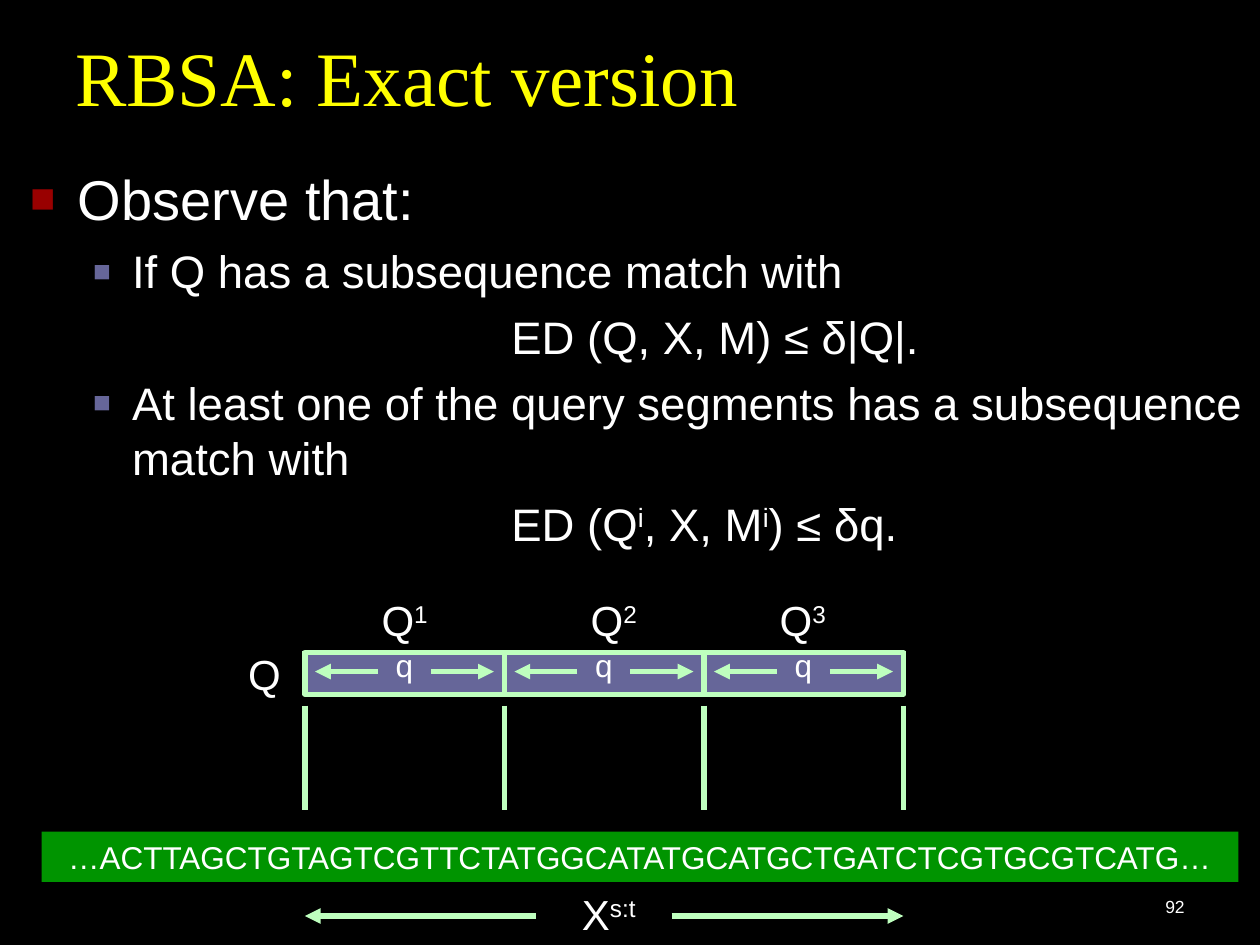
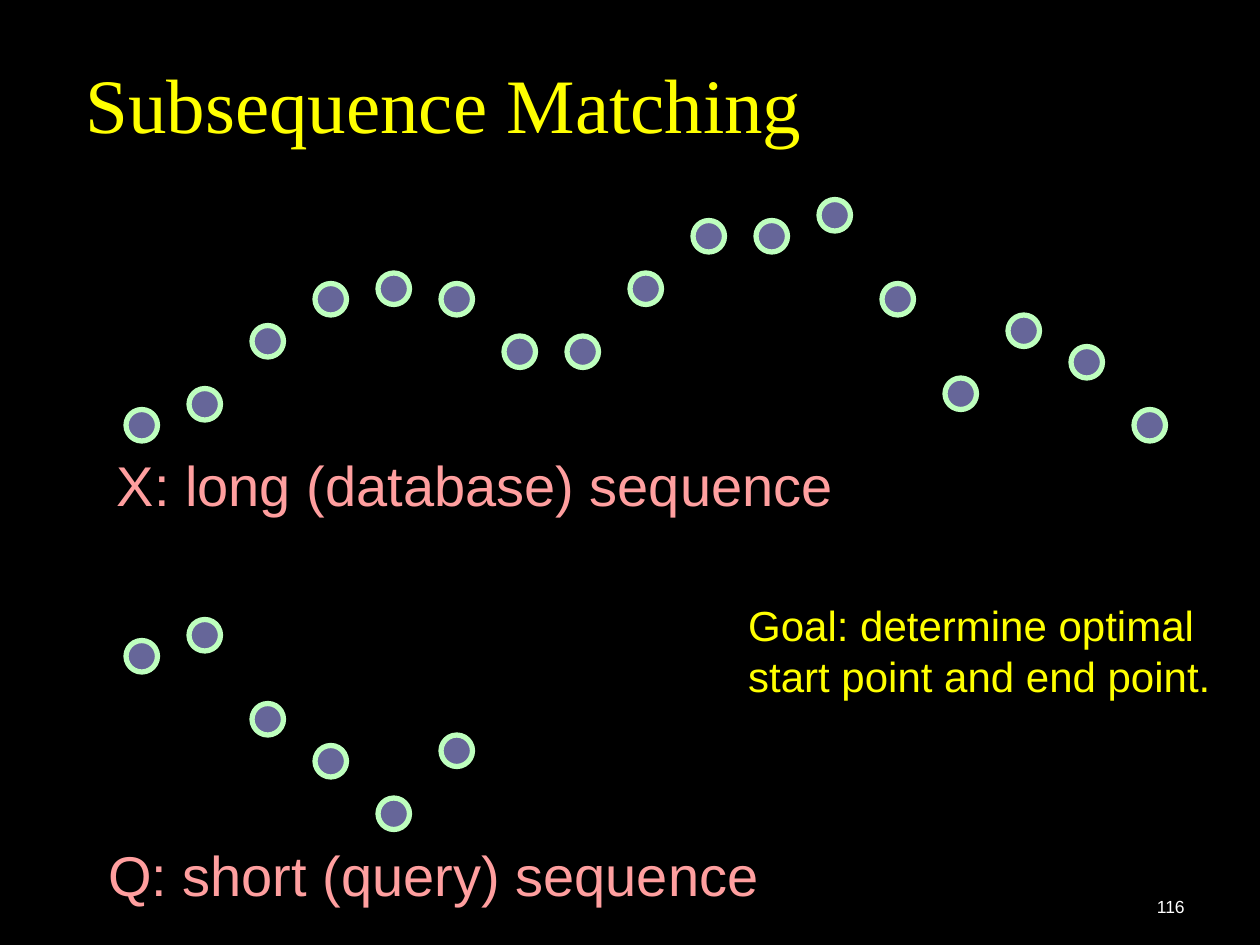
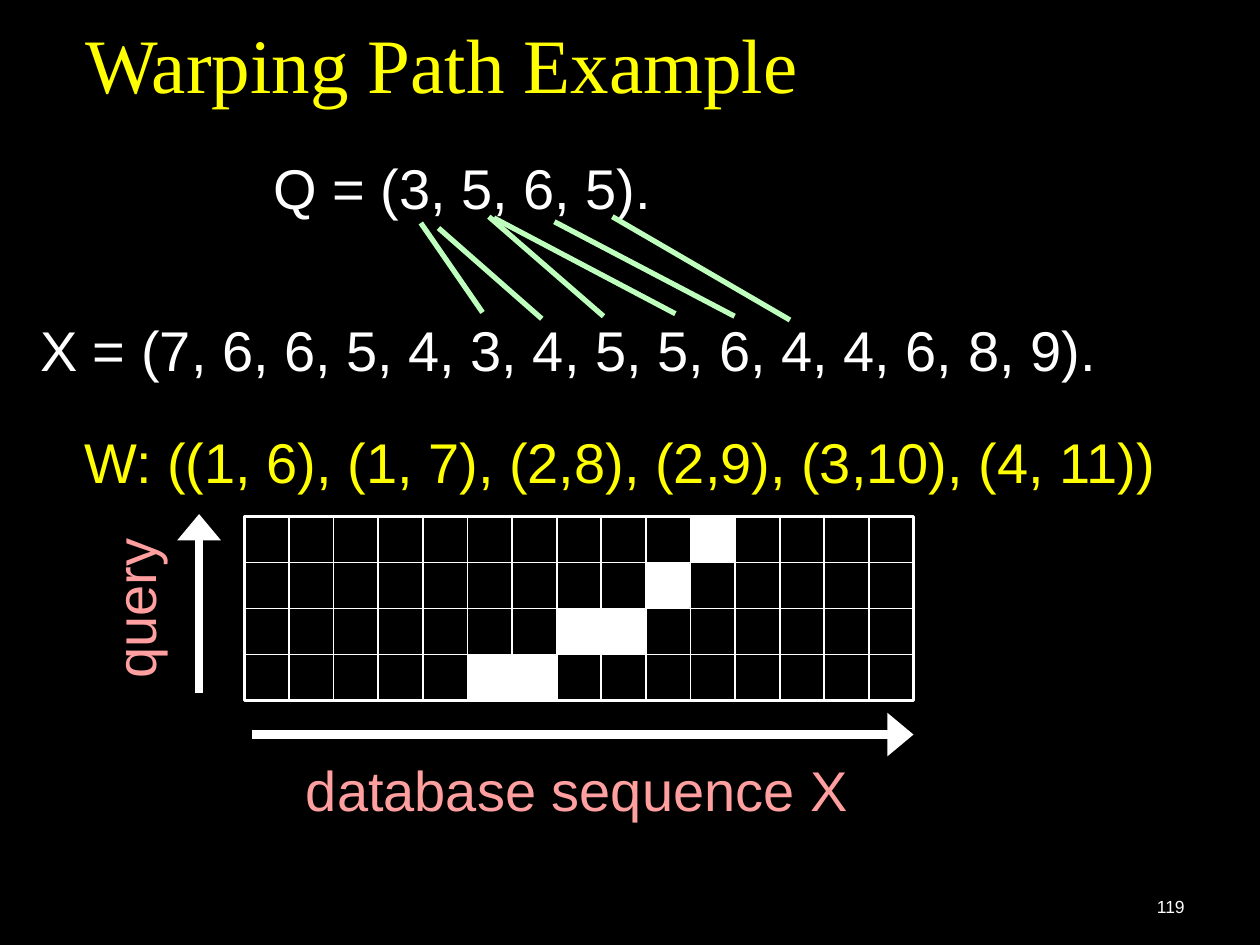
import lxml.etree
import pptx
import pptx.dml.color
import pptx.enum.shapes
import pptx.enum.text
import pptx.oxml.ns
import pptx.util

rgb = pptx.dml.color.RGBColor.from_string
qn = pptx.oxml.ns.qn
Inches = pptx.util.Inches
Pt = pptx.util.Pt
SHAPE = pptx.enum.shapes.MSO_SHAPE
ALIGN = pptx.enum.text.PP_ALIGN
ANCHOR = pptx.enum.text.MSO_ANCHOR

BLACK, WHITE, YELLOW = "000000", "FFFFFF", "FFFF00"
PINK, MINT, SLATE = "FF9F9F", "BEFFBE", "666699"
GREEN, RED = "009400", "990000"


def add_box(page, place, text="", size=24, color=WHITE, font="Arial", align=ALIGN.LEFT,
            anchor=ANCHOR.TOP, kind=None, fill=None, outline=None, weight=3):
    """Add a text box, or a preset shape if kind is given; ^ switches superscript on and off."""
    place = [Inches(length) for length in place]
    if kind is None:
        box = page.shapes.add_textbox(*place)
    else:
        box = page.shapes.add_shape(kind, *place)
        box.shadow.inherit = False
        if fill:
            box.fill.solid()
            box.fill.fore_color.rgb = rgb(fill)
        else:
            box.fill.background()
        if outline:
            box.line.color.rgb = rgb(outline)
            box.line.width = Pt(weight)
        else:
            box.line.fill.background()
    if text:
        frame = box.text_frame
        frame.word_wrap = True
        frame.vertical_anchor = anchor
        for index, line in enumerate(text.split("\n")):
            para = frame.add_paragraph() if index else frame.paragraphs[0]
            para.alignment = align
            para.font.size = Pt(size)
            para.font.name = font
            para.font.color.rgb = rgb(color)
            for part, piece in enumerate(line.split("^")):
                if piece:
                    span = para.add_run()
                    span.text = piece
                    if part % 2:
                        span._r.get_or_add_rPr().set("baseline", "30000")
    return box


def add_line(page, x1, y1, x2, y2, color=MINT, weight=3, arrow=None):
    """Add a straight line; arrow is the width of its head, "med" or "lg"."""
    ends = [Inches(length) for length in (x1, y1, x2, y2)]
    line = page.shapes.add_connector(pptx.enum.shapes.MSO_CONNECTOR.STRAIGHT, *ends)
    line.line.color.rgb = rgb(color)
    line.line.width = Pt(weight)
    properties = line._element.spPr
    if arrow:
        lxml.etree.SubElement(properties.find(qn("a:ln")), qn("a:tailEnd"), type="triangle", w=arrow)
    lxml.etree.SubElement(properties, qn("a:effectLst"))


deck = pptx.Presentation()
deck.slide_width = Inches(10)
deck.slide_height = Inches(7.5)

# Background, title and slide number of every slide
pages = []
for title, place, number in [
    ("RBSA: Exact version", (0.5, 0.23, 9.5, 0.78), 92),
    ("Subsequence Matching", (0.58, 0.25, 8.92, 0.98), 116),
    ("Warping Path Example", (0.58, 0.2, 8.92, 0.71), 119),
]:
    page = deck.slides.add_slide(deck.slide_layouts[6])
    page.background.fill.solid()
    page.background.fill.fore_color.rgb = rgb(BLACK)
    heading = add_box(page, place, title, 44, YELLOW, "Times New Roman", anchor=ANCHOR.BOTTOM)
    heading.text_frame.paragraphs[0].line_spacing = 0.8
    add_box(page, (7.42, 6.83, 2.08, 0.5), str(number), 10, align=ALIGN.RIGHT, anchor=ANCHOR.BOTTOM)
    pages.append(page)
exact_page, matching_page, warping_page = pages

# RBSA: Exact version
claims = add_box(exact_page, (0.14, 1.26, 10.19, 3.3), "\n".join([
    "Observe that:",
    "If Q has a subsequence match with",
    "ED (Q, X, M) ≤ δ|Q|.",
    "At least one of the query segments has a subsequence match with",
    "ED (Q^i^, X, M^i^) ≤ δq.",
]), 26)
topic = (0.38, -0.38, 0, RED, 75)
point = (0.81, -0.31, 6.5, SLATE, 65)
formula = (3.82, 0, 6.5, None, None)
styles = [topic, point, formula, point, formula]
for para, (margin, indent, before, bullet_color, percent) in zip(claims.text_frame.paragraphs, styles):
    settings = para._p.get_or_add_pPr()
    settings.set("marL", str(Inches(margin)))
    settings.set("indent", str(Inches(indent)))
    para.space_before = Pt(before)
    if bullet_color:
        tint = lxml.etree.Element(qn("a:buClr"))
        lxml.etree.SubElement(tint, qn("a:srgbClr"), val=bullet_color)
        for element in (
            tint,
            lxml.etree.Element(qn("a:buSzPct"), val=str(percent * 1000)),
            lxml.etree.Element(qn("a:buFont"), typeface="Arial"),
            lxml.etree.Element(qn("a:buChar"), char="■"),
        ):
            settings.insert_element_before(element, "a:tabLst", "a:defRPr", "a:extLst")
claims.text_frame.paragraphs[0].font.size = Pt(32)

add_box(exact_page, (0.33, 6.6, 9.5, 0.4), "…ACTTAGCTGTAGTCGTTCTATGGCATATGCATGCTGATCTCGTGCGTCATG…",
        18, align=ALIGN.CENTER, kind=SHAPE.RECTANGLE, fill=GREEN)
query_left, query_width, segments = 2.42, 4.75, 3
query_right = query_left + query_width
segment = query_width / segments
add_box(exact_page, (query_left, 5.18, query_width, 0.33), kind=SHAPE.RECTANGLE, fill=SLATE, outline=MINT)
add_box(exact_page, (1.87, 5.1, 0.55, 0.5), "Q")
for border in range(segments + 1):
    x = query_left + border * segment
    add_line(exact_page, x, 5.17, x, 5.5)
    add_line(exact_page, x, 5.6, x, 6.43)
for index, label_left in enumerate((2.93, 4.59, 6.09)):
    x = query_left + index * segment
    add_box(exact_page, (label_left, 4.67, 0.7, 0.5), f"Q^{index + 1}")
    add_box(exact_page, (x + 0.5, 5.08, 0.58, 0.4), "q", 18, align=ALIGN.CENTER)
    add_line(exact_page, x + 0.58, 5.33, x + 0.08, 5.33, arrow="med")
    add_line(exact_page, x + 1, 5.33, x + 1.5, 5.33, arrow="med")
add_box(exact_page, (4.52, 7, 0.8, 0.5), "X^s:t")
add_line(exact_page, 4.25, 7.27, query_left, 7.27, arrow="med")
add_line(exact_page, 5.33, 7.27, query_right, 7.27, arrow="med")

# Subsequence Matching: dot heights are in twelfths of an inch
database = [39, 37, 31, 27, 26, 27, 32, 32, 26, 21, 21, 19, 27, 36, 30, 33, 39]
query = [61, 59, 67, 71, 76, 70]
for sequence in (database, query):
    for index, height in enumerate(sequence):
        add_box(matching_page, (1 + index / 2, height / 12, 0.25, 0.25),
                kind=SHAPE.OVAL, fill=SLATE, outline=MINT)
add_box(matching_page, (0.83, 3.53, 6, 0.64), "X: long (database) sequence", 32, PINK)
add_box(matching_page, (0.76, 6.62, 5.5, 0.64), "Q: short (query) sequence", 32, PINK)
add_box(matching_page, (5.84, 4.71, 4, 0.9), "Goal: determine optimal\nstart point and end point.", 24, YELLOW)

# Warping Path Example
sequences = add_box(warping_page, (0.22, 1.17, 9.09, 2), "\n".join([
    "Q = (3, 5, 6, 5).",
    "X = (7, 6, 6, 5, 4, 3, 4, 5, 5, 6, 4, 4, 6, 8, 9).",
]), 32)
query_line, database_line = sequences.text_frame.paragraphs
query_line._p.get_or_add_pPr().set("marL", str(Inches(1.85)))
database_line.space_before = Pt(54)
add_box(warping_page, (0.57, 3.34, 8.9, 0.64), "W: ((1, 6), (1, 7), (2,8), (2,9), (3,10), (4, 11))", 32, YELLOW)
add_box(warping_page, (2.33, 5.95, 4.7, 0.64), "database sequence X", 32, PINK)
add_box(warping_page, (0.36, 4.37, 1.5, 0.73), "query", 32, PINK).rotation = 270

grid_left, grid_top, grid_width, grid_height = 1.94, 4.1, 5.31, 1.46
columns, rows = 15, 4
column, row = grid_width / columns, grid_height / rows
add_box(warping_page, (grid_left, grid_top, grid_width, grid_height),
        kind=SHAPE.RECTANGLE, outline=WHITE, weight=2)
for index in range(1, columns):
    x = grid_left + index * column
    add_line(warping_page, x, grid_top, x, grid_top + grid_height, WHITE, 1)
for index in range(1, rows):
    y = grid_top + index * row
    add_line(warping_page, grid_left, y, grid_left + grid_width, y, WHITE, 0.75)
warping_path = [(1, 6), (1, 7), (2, 8), (2, 9), (3, 10), (4, 11)]
for query_index, database_index in warping_path:
    x = grid_left + (database_index - 1) * column
    y = grid_top + (rows - query_index) * row
    add_box(warping_page, (x + 0.01, y + 0.01, column - 0.02, row - 0.02),
            kind=SHAPE.RECTANGLE, fill=WHITE, outline=WHITE, weight=0.75)

for match in [
    (3.34, 1.77, 3.83, 2.48),
    (3.48, 1.81, 4.3, 2.53),
    (3.88, 1.72, 4.79, 2.51),
    (3.92, 1.73, 5.36, 2.49),
    (4.4, 1.76, 5.83, 2.51),
    (4.86, 1.72, 6.27, 2.54),
]:
    add_line(warping_page, *match)
add_line(warping_page, 1.58, 5.5, 1.58, 4.08, WHITE, 5, arrow="lg")
add_line(warping_page, 2, 5.83, 7.25, 5.83, WHITE, 5, arrow="lg")

deck.save("out.pptx")
